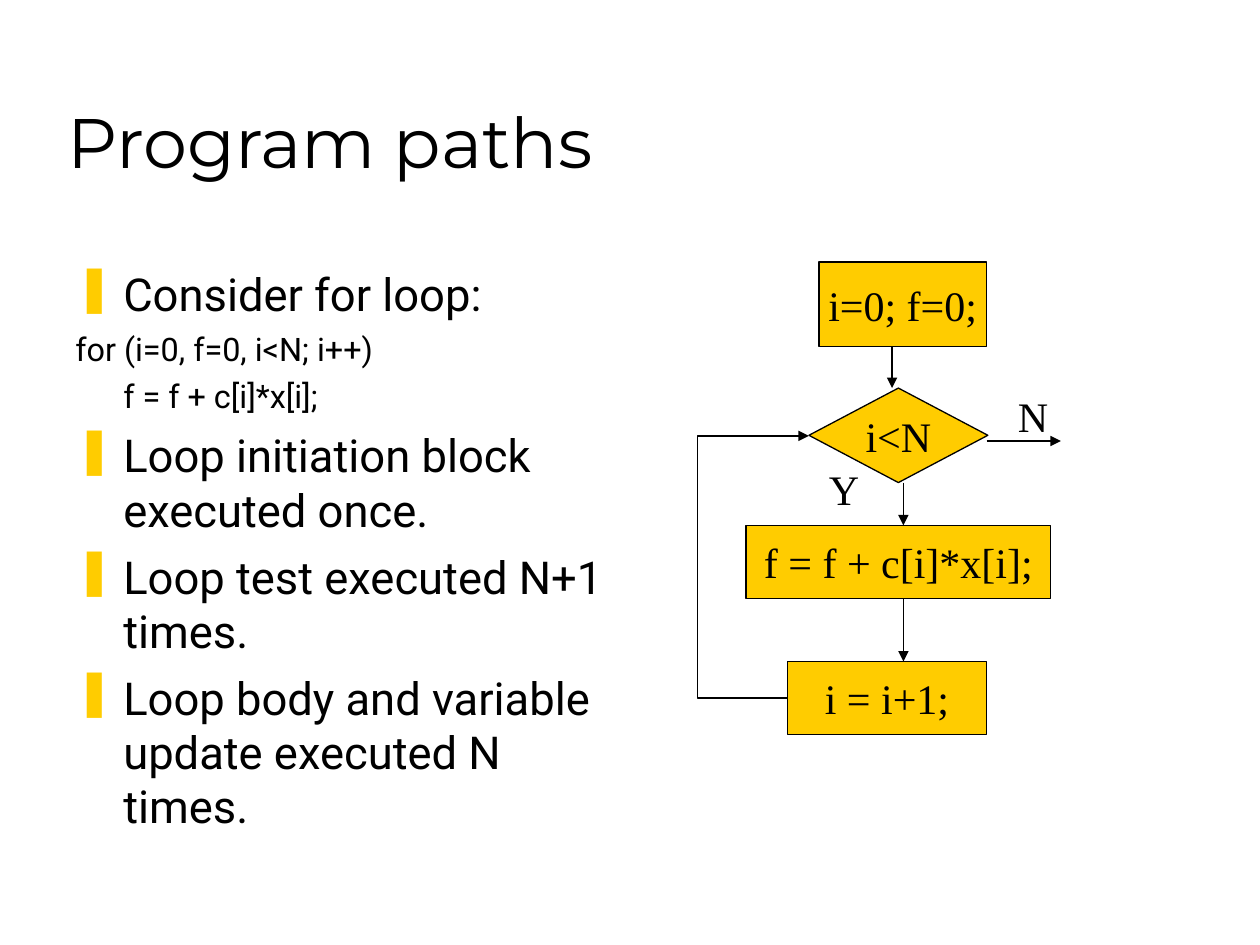
import pptx
import pptx.dml.color
import pptx.enum.shapes
import pptx.enum.text
import pptx.oxml
import pptx.oxml.ns
import pptx.util
from pptx.util import Inches

COLORS = {"text": "000000", "line": "000000", "accent": "FFCC00", "background": "FFFFFF"}
FONTS = {"title": "Montserrat", "body": "Roboto", "diagram": "Times New Roman"}
SHAPES = pptx.enum.shapes.MSO_SHAPE
CONNECTORS = pptx.enum.shapes.MSO_CONNECTOR
ANCHORS = pptx.enum.text.MSO_ANCHOR
HANGING = 0.38


def rgb(name):
    return pptx.dml.color.RGBColor.from_string(COLORS[name])


def append_xml(parent, xml):
    """Append a drawing element written with the a: prefix."""
    tag, rest = xml[:-2].split(" ", 1) if " " in xml else (xml[:-2], "")
    declared = f"{tag} {pptx.oxml.ns.nsdecls('a')} {rest}/>"
    element = pptx.oxml.parse_xml(declared)
    parent.append(element)
    return element


class SlideBuilder:
    def __init__(self, slide):
        self.slide = slide
        slide.background.fill.solid()
        slide.background.fill.fore_color.rgb = rgb("background")

    def set_font(self, paragraph, font, size):
        paragraph.font.name = FONTS[font]
        paragraph.font.size = pptx.util.Pt(size)
        paragraph.font.color.rgb = rgb("text")

    def text(self, words, left, top, width, height, font, size, anchor=ANCHORS.TOP, wrap=True):
        box = self.slide.shapes.add_textbox(*map(Inches, (left, top, width, height)))
        frame = box.text_frame
        frame.word_wrap = wrap
        frame.vertical_anchor = anchor
        frame.text = words
        self.set_font(frame.paragraphs[0], font, size)

    def outline(self, items, left, top, width, height):
        """Add (text, kind) items; kind is bullet, code or nested code."""
        box = self.slide.shapes.add_textbox(*map(Inches, (left, top, width, height)))
        frame = box.text_frame
        frame.word_wrap = True
        for index, (words, kind) in enumerate(items):
            paragraph = frame.add_paragraph() if index else frame.paragraphs[0]
            paragraph.text = words
            is_bullet = kind == "bullet"
            properties = paragraph._p.get_or_add_pPr()
            properties.set("marL", str(Inches(HANGING)))
            properties.set("indent", str(0 if kind == "nested code" else -Inches(HANGING)))
            if index:
                paragraph.space_before = pptx.util.Pt(7 if is_bullet else 5)
            if is_bullet:
                bullet_color = append_xml(properties, "<a:buClr/>")
                append_xml(bullet_color, f'<a:srgbClr val="{COLORS["accent"]}"/>')
                append_xml(properties, '<a:buChar char="❚"/>')
            else:
                append_xml(properties, "<a:buNone/>")
            self.set_font(paragraph, "body", 25.9 if is_bullet else 18.5)

    def step(self, words, left, top, width, height, preset=SHAPES.RECTANGLE):
        shape = self.slide.shapes.add_shape(preset, *map(Inches, (left, top, width, height)))
        shape.shadow.inherit = False
        shape.fill.solid()
        shape.fill.fore_color.rgb = rgb("accent")
        shape.line.color.rgb = rgb("line")
        shape.line.width = pptx.util.Pt(0.75)
        frame = shape.text_frame
        frame.word_wrap = False
        frame.vertical_anchor = ANCHORS.MIDDLE
        frame.text = words
        frame.paragraphs[0].alignment = pptx.enum.text.PP_ALIGN.CENTER
        self.set_font(frame.paragraphs[0], "diagram", 24)

    def arrow(self, start, end, bend=None):
        """Draw an arrow; bend is the elbow position as a share of its width."""
        kind = CONNECTORS.STRAIGHT if bend is None else CONNECTORS.ELBOW
        connector = self.slide.shapes.add_connector(kind, *map(Inches, (*start, *end)))
        connector.line.color.rgb = rgb("line")
        connector.line.width = pptx.util.Pt(0.75)
        properties = connector._element.spPr
        append_xml(connector.line._get_or_add_ln(), '<a:tailEnd type="triangle"/>')
        append_xml(properties, "<a:effectLst/>")
        if bend is not None:
            guides = properties.find(pptx.oxml.ns.qn("a:prstGeom")).get_or_add_avLst()
            append_xml(guides, f'<a:gd name="adj1" fmla="val {round(bend * 100000)}"/>')


def main():
    presentation = pptx.Presentation()
    presentation.slide_width, presentation.slide_height = Inches(10), Inches(7.5)
    builder = SlideBuilder(presentation.slides.add_slide(presentation.slide_layouts[6]))

    builder.text("Program paths", 0.44, 0.25, 8.5, 1.25, "title", 40, ANCHORS.BOTTOM)
    builder.outline([
        ("Consider for loop:", "bullet"),
        ("for (i=0, f=0, i<N; i++)", "code"),
        ("f = f + c[i]*x[i];", "nested code"),
        ("Loop initiation block executed once.", "bullet"),
        ("Loop test executed N+1 times.", "bullet"),
        ("Loop body and variable update executed N times.", "bullet"),
    ], 0.5, 2.06, 4.39, 4.56)

    builder.step("i<N", 6.42, 3.08, 1.42, 0.75, SHAPES.FLOWCHART_DECISION)
    builder.step("i=0; f=0;", 6.5, 2.08, 1.33, 0.67)
    builder.step("f = f + c[i]*x[i];", 5.92, 4.17, 2.42, 0.58)
    builder.step("i = i+1;", 6.25, 5.25, 1.58, 0.58)

    builder.arrow((7.08, 2.75), (7.08, 3.08))
    builder.arrow((7.17, 3.83), (7.17, 4.17))
    builder.arrow((7.17, 4.75), (7.17, 5.25))
    builder.arrow((7.83, 3.5), (8.42, 3.5))
    for branch, left, top in (("N", 7.98, 3.05), ("Y", 6.48, 3.63)):
        builder.text(branch, left, top, 0.44, 0.5, "diagram", 24, wrap=False)
    builder.arrow((6.25, 5.54), (6.42, 3.46), bend=-4.2)

    presentation.save("out.pptx")


if __name__ == "__main__":
    main()
